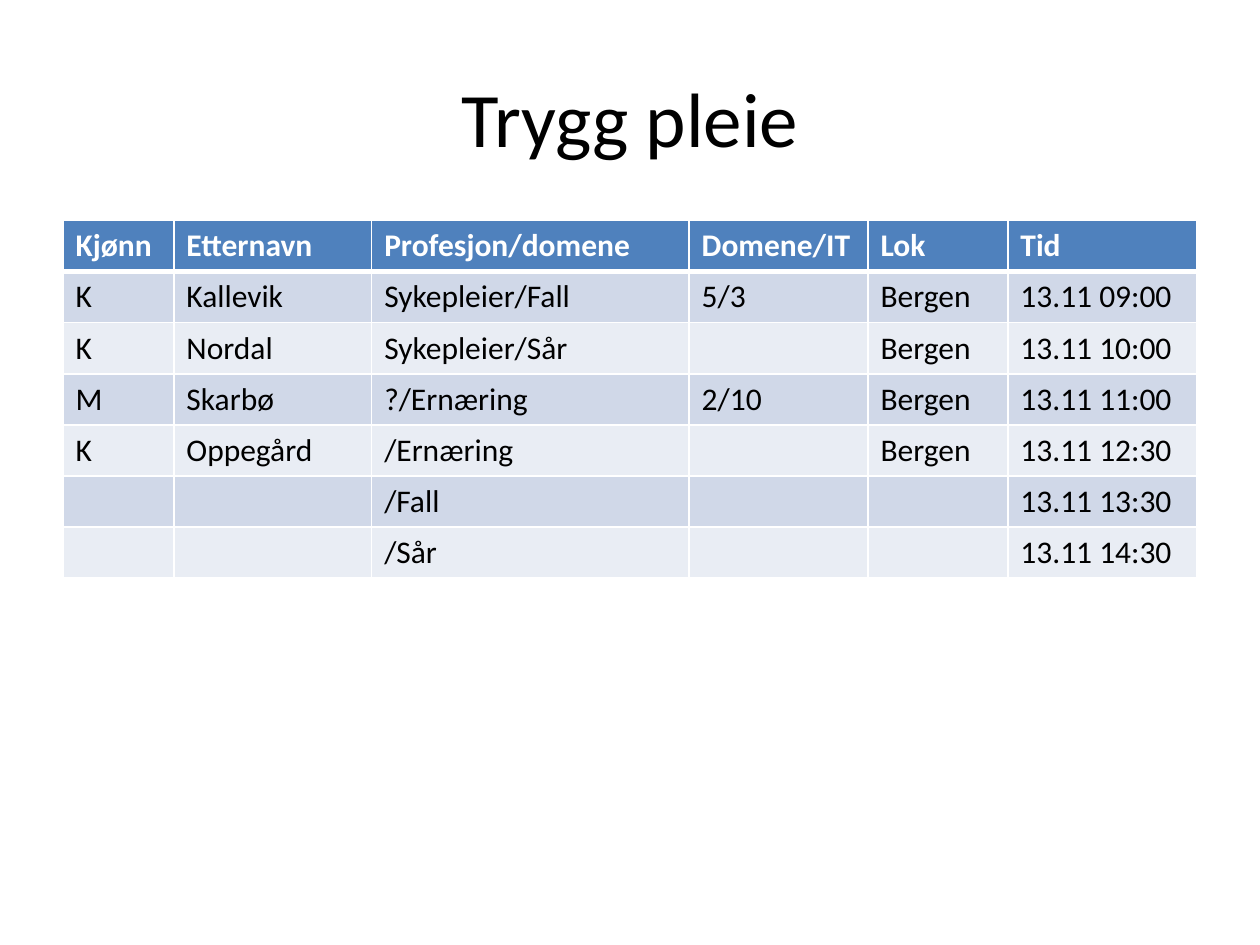
import dataclasses
import pptx
import pptx.dml.color
import pptx.enum.text
import pptx.oxml
import pptx.oxml.ns
import pptx.util

RGB = pptx.dml.color.RGBColor
WHITE = RGB(0xFF, 0xFF, 0xFF)
BLACK = RGB(0, 0, 0)
BLUE = RGB(0x4F, 0x81, 0xBD)
DARK = RGB(0xD0, 0xD8, 0xE8)
PALE = RGB(0xE9, 0xED, 0xF4)
FONT = "Calibri"
ALIGN = pptx.enum.text.PP_ALIGN
MIDDLE = pptx.enum.text.MSO_ANCHOR.MIDDLE


@dataclasses.dataclass(frozen=True)
class Column:
    head: str
    width: float


@dataclasses.dataclass(frozen=True)
class Visit:
    sex: str
    name: str
    job: str
    score: str
    town: str
    time: str


COLUMNS = [
    Column("Kjønn", 0.88),
    Column("Etternavn", 1.57),
    Column("Profesjon/domene", 2.52),
    Column("Domene/IT", 1.42),
    Column("Lok", 1.11),
    Column("Tid", 1.5),
]
VISITS = [
    Visit("K", "Kallevik", "Sykepleier/Fall", "5/3", "Bergen", "13.11 09:00"),
    Visit("K", "Nordal", "Sykepleier/Sår", "", "Bergen", "13.11 10:00"),
    Visit("M", "Skarbø", "?/Ernæring", "2/10", "Bergen", "13.11 11:00"),
    Visit("K", "Oppegård", "/Ernæring", "", "Bergen", "13.11 12:30"),
    Visit("", "", "/Fall", "", "", "13.11 13:30"),
    Visit("", "", "/Sår", "", "", "13.11 14:30"),
]


def write(frame, text: str, *, size: float = 18, color: RGB = BLACK,
          bold: bool = False, align: ALIGN = ALIGN.LEFT) -> None:
    line = frame.paragraphs[0]
    line.alignment = align
    if text:
        run = line.add_run()
        run.text = text
        run.font.name = FONT
        run.font.size = pptx.util.Pt(size)
        run.font.bold = bold
        run.font.color.rgb = color


def border(cell, top: float, bottom: float) -> None:
    props = cell._tc.get_or_add_tcPr()
    sides = {"L": 1, "R": 1, "T": top, "B": bottom}
    for place, (side, width) in enumerate(sides.items()):
        props.insert(place, pptx.oxml.parse_xml(
            f'<a:ln{side} {pptx.oxml.ns.nsdecls("a")} w="{pptx.util.Pt(width)}">'
            f'<a:solidFill><a:srgbClr val="{WHITE}"/></a:solidFill></a:ln{side}>'))


def title(slide, text: str, wide: int, high: int) -> None:
    box = slide.shapes.add_textbox(
        int(0.05 * wide), int(0.04 * high), int(0.9 * wide), int(high / 6))
    frame = box.text_frame
    frame.word_wrap = True
    frame.vertical_anchor = MIDDLE
    write(frame, text, size=44, align=ALIGN.CENTER)


def schedule(slide, wide: int, high: int) -> None:
    rows = [[column.head for column in COLUMNS]]
    rows += [dataclasses.astuple(visit) for visit in VISITS]
    tall = pptx.util.Inches(2.84)
    table = slide.shapes.add_table(
        len(rows), len(COLUMNS), int(0.05 * wide), int(high * 7 / 30),
        int(0.9 * wide), tall).table
    for target, column in zip(table.columns, COLUMNS):
        target.width = pptx.util.Inches(column.width)
    for r, texts in enumerate(rows):
        table.rows[r].height = tall // len(rows)
        head = r == 0
        fill = BLUE if head else DARK if r % 2 else PALE
        for c, text in enumerate(texts):
            cell = table.cell(r, c)
            cell.fill.solid()
            cell.fill.fore_color.rgb = fill
            border(cell, 3 if r == 1 else 1, 3 if head else 1)
            write(cell.text_frame, text, color=WHITE if head else BLACK, bold=head)


def main() -> None:
    deck = pptx.Presentation()
    deck.slide_width = pptx.util.Inches(10)
    deck.slide_height = pptx.util.Inches(7.5)
    slide = deck.slides.add_slide(deck.slide_layouts[6])
    title(slide, "Trygg pleie", deck.slide_width, deck.slide_height)
    schedule(slide, deck.slide_width, deck.slide_height)
    deck.save("out.pptx")


main()
